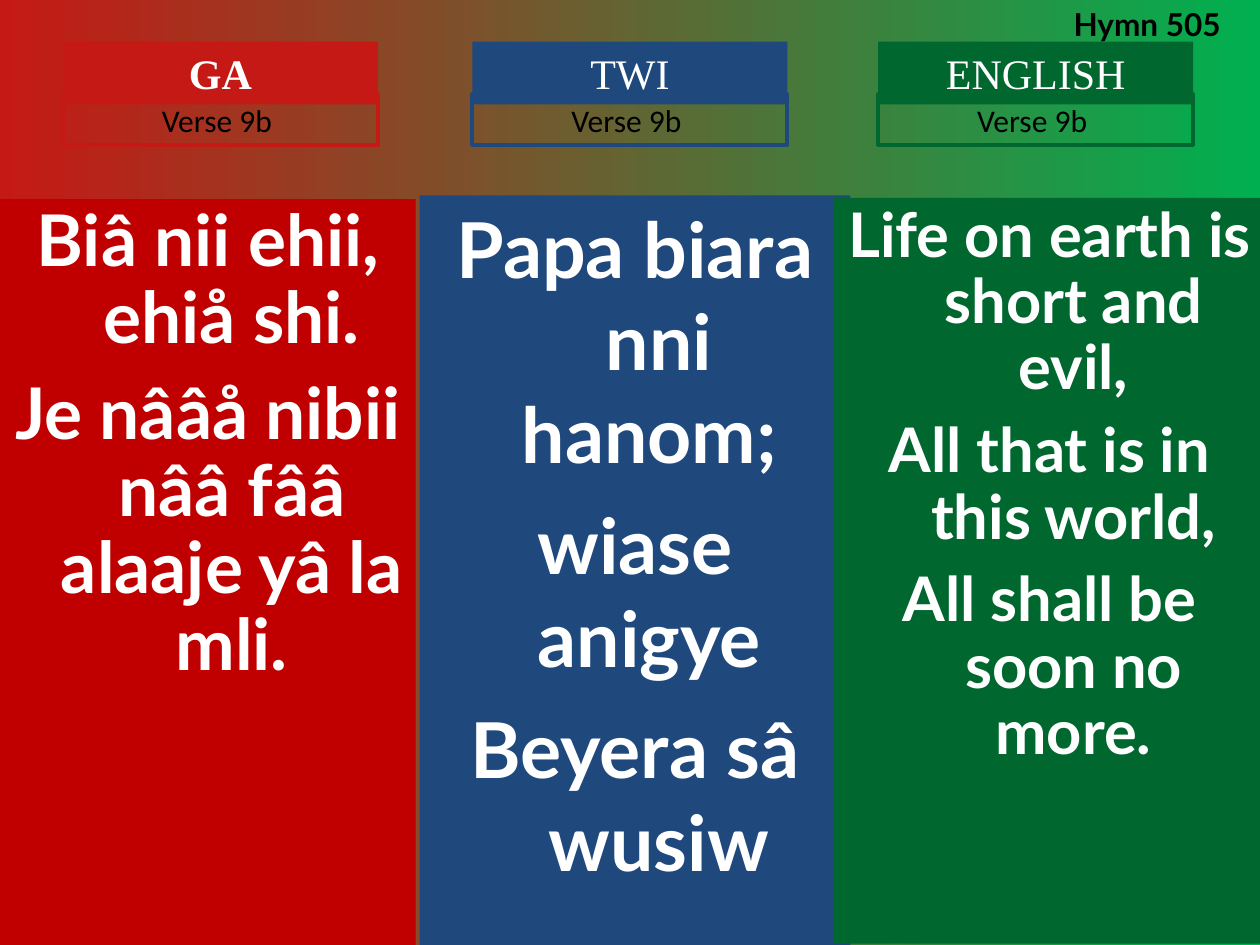
from dataclasses import dataclass

from pptx import Presentation, util as u
from pptx.dml.color import RGBColor
from pptx.enum import shapes, text
from pptx.util import Inches


@dataclass(frozen=True)
class Theme:
    ga: str = "C51915"
    ga_panel: str = "C00000"
    twi: str = "1F497D"
    english: str = "00682F"
    sky_end: str = "00B050"
    light: str = "FFFFFF"
    dark: str = "000000"
    label_size: float = 18
    language_size: float = 24
    label_font: str = "Calibri"
    language_font: str = "Times New Roman"
    lyric_font: str = "Lato"


THEME = Theme()
RECT = shapes.MSO_SHAPE.RECTANGLE
CENTER = text.PP_ALIGN.CENTER
HANGING = Inches(0.38)

LANGUAGES = [
    dict(name="GA", bold=True, color=THEME.ga, panel_color=THEME.ga_panel,
         header_left=0.5, panel=(0, 1.58, 3.3, 5.92),
         size=40.7, spacing=0.9, gap=11,
         lines=["Biâ nii ehii, ehiå shi.",
                "Je nââå nibii nââ fââ alaaje yâ la mli."]),
    dict(name="TWI", bold=False, color=THEME.twi, panel_color=THEME.twi,
         header_left=3.75, panel=(3.33, 1.55, 3.42, 5.95),
         size=44, spacing=1.0, gap=11,
         lines=["Papa biara nni hanom; ", "wiase anigye ",
                "Beyera sâ wusiw"]),
    dict(name="ENGLISH", bold=False, color=THEME.english,
         panel_color=THEME.english,
         header_left=6.97, panel=(6.62, 1.57, 3.42, 5.92),
         size=35.1, spacing=0.9, gap=9.5,
         lines=["Life on earth is short and evil,",
                "All that is in this world,",
                "All shall be soon no more."]),
]


def apply(target, values):
    for name, value in values.items():
        setattr(target, name, value)


def set_frame(shape):
    """Give a text frame the slide's common insets, wrapping and anchor."""
    apply(shape.text_frame, dict(
        margin_left=Inches(0.1), margin_right=Inches(0.1),
        margin_top=Inches(0.05), margin_bottom=Inches(0.05),
        word_wrap=True, auto_size=text.MSO_AUTO_SIZE.NONE,
        vertical_anchor=text.MSO_ANCHOR.TOP))
    return shape.text_frame


def write(paragraph, words, font, size, color, bold=False, align=CENTER):
    run = paragraph.add_run()
    run.text = words
    paragraph.alignment = align
    apply(run.font, dict(name=font, size=u.Pt(size), bold=bold))
    run.font.color.rgb = RGBColor.from_string(color)


def add_box(slide, box, fill=None, line=None):
    shape = slide.shapes.add_shape(RECT, *map(Inches, box))
    shape.shadow.inherit = False
    if fill:
        shape.fill.solid()
        shape.fill.fore_color.rgb = RGBColor.from_string(fill)
    else:
        shape.fill.background()
    if line:
        shape.line.color.rgb = RGBColor.from_string(line)
        shape.line.width = u.Pt(2.25)
    else:
        shape.line.fill.background()
    return shape


def add_lyrics(slide, language):
    panel = add_box(slide, language["panel"], fill=language["panel_color"])
    frame = set_frame(panel)
    for number, words in enumerate(language["lines"]):
        paragraph = frame.add_paragraph() if number else frame.paragraphs[0]
        write(paragraph, words, THEME.lyric_font, language["size"],
              THEME.light, bold=True)
        paragraph.line_spacing = language["spacing"]
        paragraph.space_before = u.Pt(language["gap"] if number else 0)
        properties = paragraph._p.get_or_add_pPr()
        properties.set("marL", str(HANGING))
        properties.set("indent", str(-HANGING))


def add_header(slide, language, top=0.33, width=2.5):
    """Place the language name with its verse label below."""
    left = language["header_left"]
    name = add_box(slide, (left, top, width, 0.5), fill=language["color"])
    write(set_frame(name).paragraphs[0], language["name"],
          THEME.language_font, THEME.language_size, THEME.light,
          language["bold"])
    verse = add_box(slide, (left, top + 0.42, width, 0.4),
                    line=language["color"])
    write(set_frame(verse).paragraphs[0], "Verse 9b ",
          THEME.label_font, THEME.label_size, THEME.dark)


def set_title(slide, words, box):
    title = slide.shapes.title
    apply(title, dict(zip(("left", "top", "width", "height"),
                          map(Inches, box))))
    write(set_frame(title).paragraphs[0], words, THEME.lyric_font,
          THEME.label_size, THEME.dark, True, text.PP_ALIGN.LEFT)


def set_background(slide):
    fill = slide.background.fill
    fill.gradient()
    fill.gradient_angle = 0
    for stop, color in zip(fill.gradient_stops, (THEME.ga, THEME.sky_end)):
        stop.color.rgb = RGBColor.from_string(color)


def main():
    deck = Presentation()
    apply(deck, dict(slide_width=Inches(10), slide_height=Inches(7.5)))
    slide = deck.slides.add_slide(deck.slide_layouts.get_by_name("Title Only"))
    set_background(slide)
    set_title(slide, "Hymn 505", (8.42, -0.01, 1.5, 0.4))
    for language in LANGUAGES:
        add_lyrics(slide, language)
        add_header(slide, language)
    deck.save("out.pptx")


if __name__ == "__main__":
    main()
